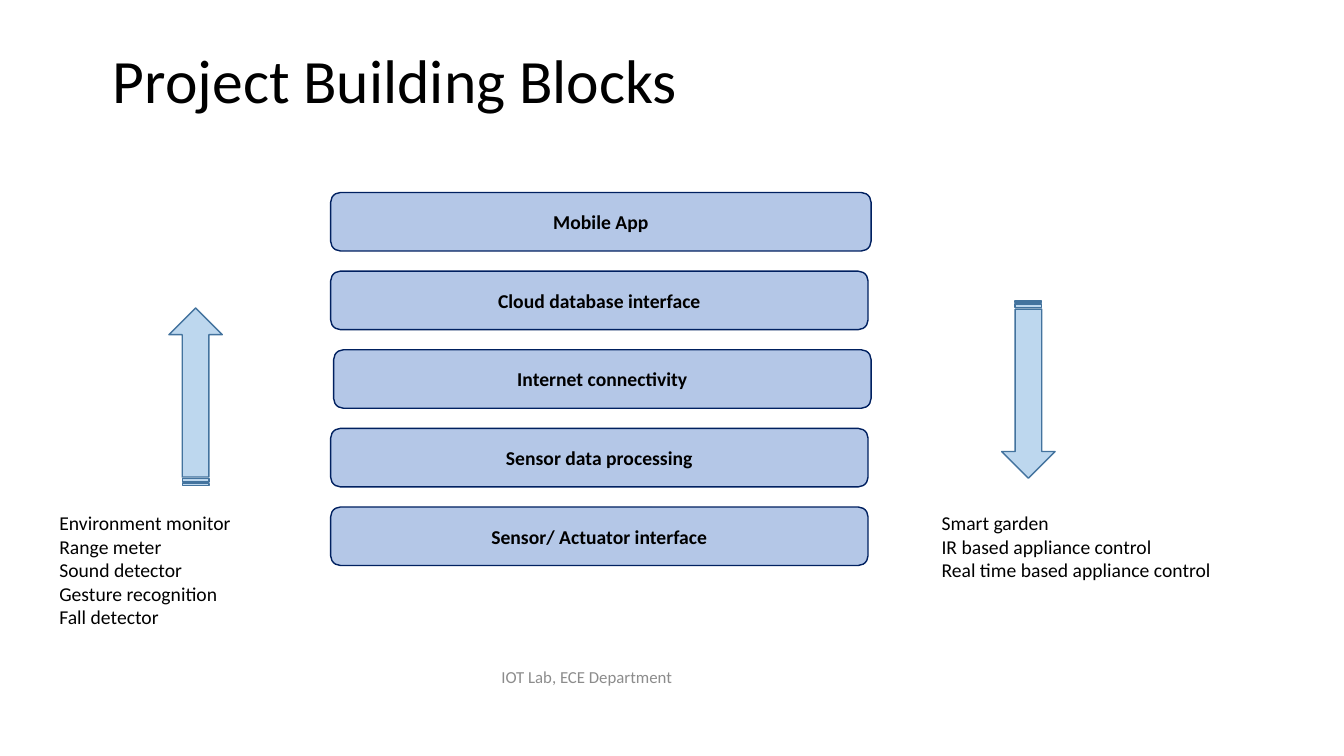
import pptx
import pptx.util
import pptx.dml.color
import pptx.enum.shapes
import pptx.enum.text
from pptx.util import Inches

SHAPE = pptx.enum.shapes.MSO_SHAPE
ALIGN = pptx.enum.text.PP_ALIGN
ANCHOR = pptx.enum.text.MSO_ANCHOR


def rgb(value):
    return pptx.dml.color.RGBColor.from_string(value)


def write(sp, lines, size, align=ALIGN.LEFT, anchor=ANCHOR.MIDDLE, color="000000", bold=False):
    """Fill a shape with one paragraph per line and return its text frame."""
    tf = sp.text_frame
    tf.word_wrap = True
    tf.auto_size = pptx.enum.text.MSO_AUTO_SIZE.NONE
    tf.vertical_anchor = anchor
    for i, line in enumerate(lines):
        p = tf.add_paragraph() if i else tf.paragraphs[0]
        p.alignment = align
        r = p.add_run()
        r.text = line
        r.font.name = "Calibri"
        r.font.size = pptx.util.Pt(size)
        r.font.bold = bold
        r.font.color.rgb = rgb(color)
    return tf


prs = pptx.Presentation()
prs.slide_width = Inches(13.33)
prs.slide_height = Inches(7.5)
s = prs.slides.add_slide(prs.slide_layouts[5])

# Title and footer
title = s.shapes.title
title.left, title.top = Inches(1.02), Inches(0.1)
title.width, title.height = Inches(11.5), Inches(1.45)
tf = write(title, ["Project Building Blocks"], 44)
tf.paragraphs[0].line_spacing = 0.9

footer = s.shapes.add_textbox(Inches(3.57), Inches(6.51), Inches(4.5), Inches(0.4))
write(footer, ["IOT Lab, ECE Department"], 12, ALIGN.CENTER, color="8C8C8C")

# Stack of building blocks, top to bottom: label, left, width
blocks = [
    ("Mobile App", 3.28, 5.36),
    ("Cloud database interface", 3.28, 5.33),
    ("Internet connectivity", 3.31, 5.33),
    ("Sensor data processing", 3.28, 5.33),
    ("Sensor/ Actuator interface", 3.28, 5.33),
]
for i, (label, left, width) in enumerate(blocks):
    sp = s.shapes.add_shape(SHAPE.ROUNDED_RECTANGLE, Inches(left), Inches(1.91 + 0.78 * i),
                            Inches(width), Inches(0.58))
    sp.shadow.inherit = False
    sp.fill.solid()
    sp.fill.fore_color.rgb = rgb("B4C7E7")
    sp.line.color.rgb = rgb("002060")
    sp.line.width = pptx.util.Pt(1)
    write(sp, [label], 14, ALIGN.CENTER, bold=True)

# Data flows up on the left, control flows down on the right
for left, top, rotation in [(1.06, 3.67, 270), (9.32, 3.6, 90)]:
    sp = s.shapes.add_shape(SHAPE.STRIPED_RIGHT_ARROW, Inches(left), Inches(top),
                            Inches(1.76), Inches(0.53))
    sp.rotation = rotation
    sp.shadow.inherit = False
    sp.fill.solid()
    sp.fill.fore_color.rgb = rgb("BDD7EE")
    sp.line.color.rgb = rgb("43739E")
    sp.line.width = pptx.util.Pt(1)

# Example projects under each arrow
projects = [
    (0.49, 2.68, 1.28, ["Environment monitor", "Range meter", "Sound detector",
                        "Gesture recognition", "Fall detector"]),
    (9.24, 3.28, 0.81, ["Smart garden", "IR based appliance control",
                        "Real time based appliance control"]),
]
for left, width, height, names in projects:
    sp = s.shapes.add_textbox(Inches(left), Inches(5.02), Inches(width), Inches(height))
    write(sp, names, 14, anchor=ANCHOR.TOP)

prs.save("out.pptx")
